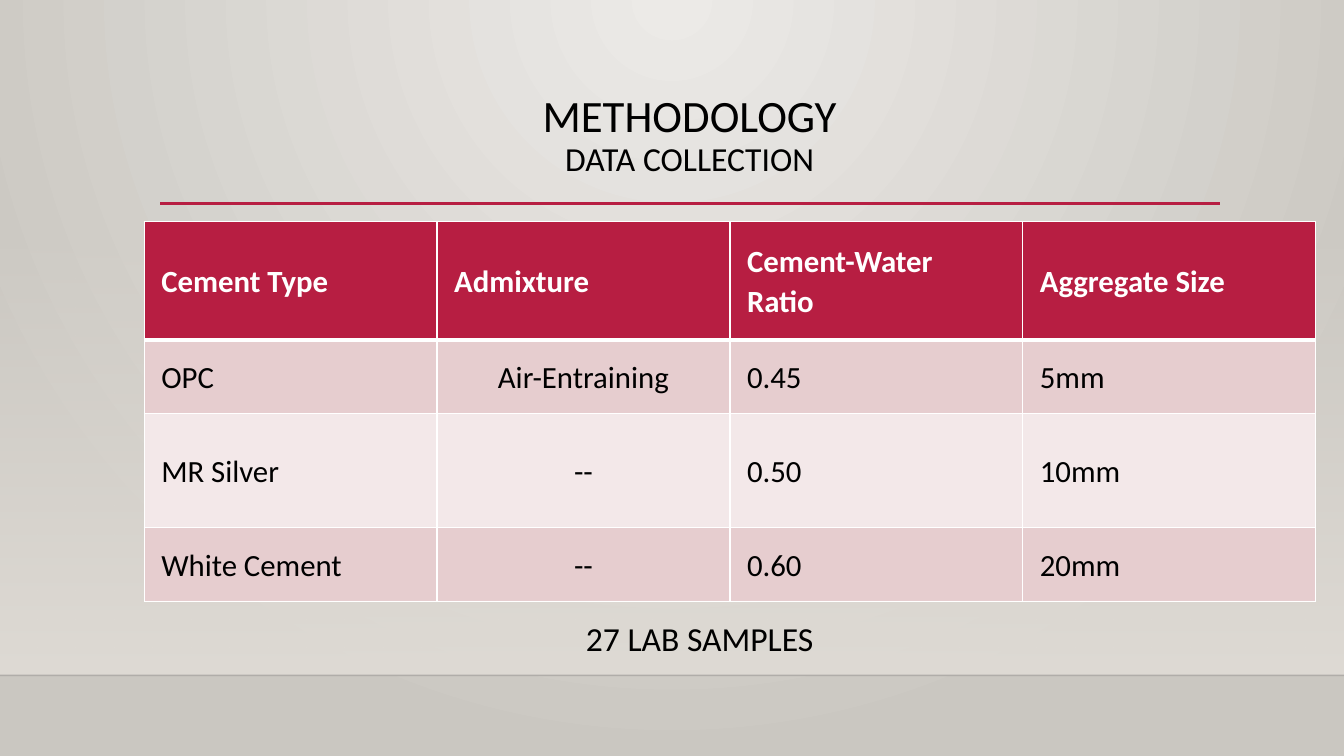
from copy import deepcopy
from lxml.etree import SubElement
from pptx import Presentation
from pptx.dml.color import RGBColor
from pptx.enum.shapes import MSO_CONNECTOR, MSO_SHAPE
from pptx.enum.text import MSO_ANCHOR, PP_ALIGN
from pptx.oxml import parse_xml
from pptx.oxml.ns import nsdecls, qn
from pptx.util import Inches, Pt


def rgb(color):
    return RGBColor.from_string(color)


def set_gradient(old, stops, shade):
    gs = "".join(
        f'<a:gs pos="{pos}000"><a:srgbClr val="{color}"><a:alpha val="{alpha}000"/></a:srgbClr></a:gs>'
        for pos, color, alpha in stops)
    new = parse_xml(f'<a:gradFill rotWithShape="1" {nsdecls("a")}><a:gsLst>{gs}</a:gsLst>{shade}</a:gradFill>')
    old.getparent().replace(old, new)


prs = Presentation()
prs.slide_width, prs.slide_height = Inches(13.33), Inches(7.5)
s = prs.slides.add_slide(prs.slide_layouts[5])

s.background.fill.solid()
set_gradient(
    s.element.find(".//" + qn("p:bgPr")).find(qn("a:solidFill")),
    [(0, "ECEAE7", 100), (100, "CAC7C1", 100)],
    '<a:path path="circle"><a:fillToRect l="43000" t="0" r="43000" b="100000"/></a:path>')

band = s.shapes.add_shape(MSO_SHAPE.RECTANGLE, 0, Inches(2.21), Inches(13.33), Inches(4.49))
band.shadow.inherit = False
band.line.fill.background()
band.fill.solid()
set_gradient(
    band.element.spPr.find(qn("a:solidFill")),
    [(0, "DFDBD5", 0), (100, "DFDBD5", 100)],
    '<a:lin ang="5400000" scaled="0"/>')

for x1, x2, y, color, width, alpha in [
    (0, 13.33, 6.7, "000001", 1, 20),
    (1.59, 12.1, 2.02, "B71E42", 2.5, 100),
]:
    line = s.shapes.add_connector(MSO_CONNECTOR.STRAIGHT, Inches(x1), Inches(y), Inches(x2), Inches(y))
    line.line.color.rgb = rgb(color)
    line.line.width = Pt(width)
    clr = line.element.spPr.find(".//" + qn("a:srgbClr"))
    SubElement(clr, qn("a:alpha")).set("val", f"{alpha}000")
    SubElement(line.element.spPr, qn("a:effectLst"))

title = s.shapes.title
title.left, title.top, title.width, title.height = Inches(1.59), Inches(0.88), Inches(10.5), Inches(1.15)
tf = title.text_frame
tf.vertical_anchor = MSO_ANCHOR.TOP
p = tf.paragraphs[0]
p.alignment = PP_ALIGN.CENTER
p.line_spacing = 0.9
for text, size in [("METHODOLOGY", 32), ("DATA COLLECTION", 24)]:
    if p.runs:
        p.add_line_break()
        p._p[-1].append(deepcopy(r._r.rPr))
    r = p.add_run()
    r.text = text
    r.font.size = Pt(size)
    r.font.name = "Calibri"
    r.font.color.rgb = rgb("000000")

tf = s.shapes.add_textbox(Inches(1.13), Inches(6.08), Inches(11.62), Inches(0.5)).text_frame
tf.word_wrap = True
p = tf.paragraphs[0]
p.alignment = PP_ALIGN.CENTER
r = p.add_run()
r.text = "27 LAB SAMPLES"
r.font.size = Pt(24)
r.font.name = "Calibri"
r.font.color.rgb = rgb("000000")

rows = [
    ("Cement Type", "Admixture", "Cement-Water Ratio", "Aggregate Size"),
    ("OPC", "Air-Entraining", "0.45", "5mm"),
    ("MR Silver", "--", "0.50", "10mm"),
    ("White Cement", "--", "0.60", "20mm"),
]
heights = [1.17, 0.7, 1.13, 0.7]
fills = ["B71E42", "E6CDCF", "F3E8E9", "E6CDCF"]
table = s.shapes.add_table(4, 4, Inches(1.43), Inches(2.2), Inches(11.62), Inches(sum(heights))).table

for i, row in enumerate(rows):
    table.rows[i].height = Inches(heights[i])
    header = i == 0
    for j, text in enumerate(row):
        cell = table.cell(i, j)
        tcPr = cell._tc.get_or_add_tcPr()
        for side in "LRTB":
            thick = (i, side) in [(0, "B"), (1, "T")]
            tcPr.append(parse_xml(
                f'<a:ln{side} w="{Pt(3 if thick else 1)}" {nsdecls("a")}>'
                f'<a:solidFill><a:srgbClr val="FFFFFF"/></a:solidFill></a:ln{side}>'))
        cell.fill.solid()
        cell.fill.fore_color.rgb = rgb(fills[i])
        cell.vertical_anchor = MSO_ANCHOR.MIDDLE
        cell.margin_left = cell.margin_right = Inches(0.17)
        cell.margin_top = cell.margin_bottom = Inches(0.19 if header else 0.17)
        p = cell.text_frame.paragraphs[0]
        p.alignment = PP_ALIGN.CENTER if j == 1 and not header else PP_ALIGN.LEFT
        p.line_spacing = 1.07
        r = p.add_run()
        r.text = text
        r.font.size = Pt(22)
        r.font.name = "Calibri"
        r.font.bold = header
        r.font.color.rgb = rgb("FFFFFF" if header else "000000")

prs.save("out.pptx")
